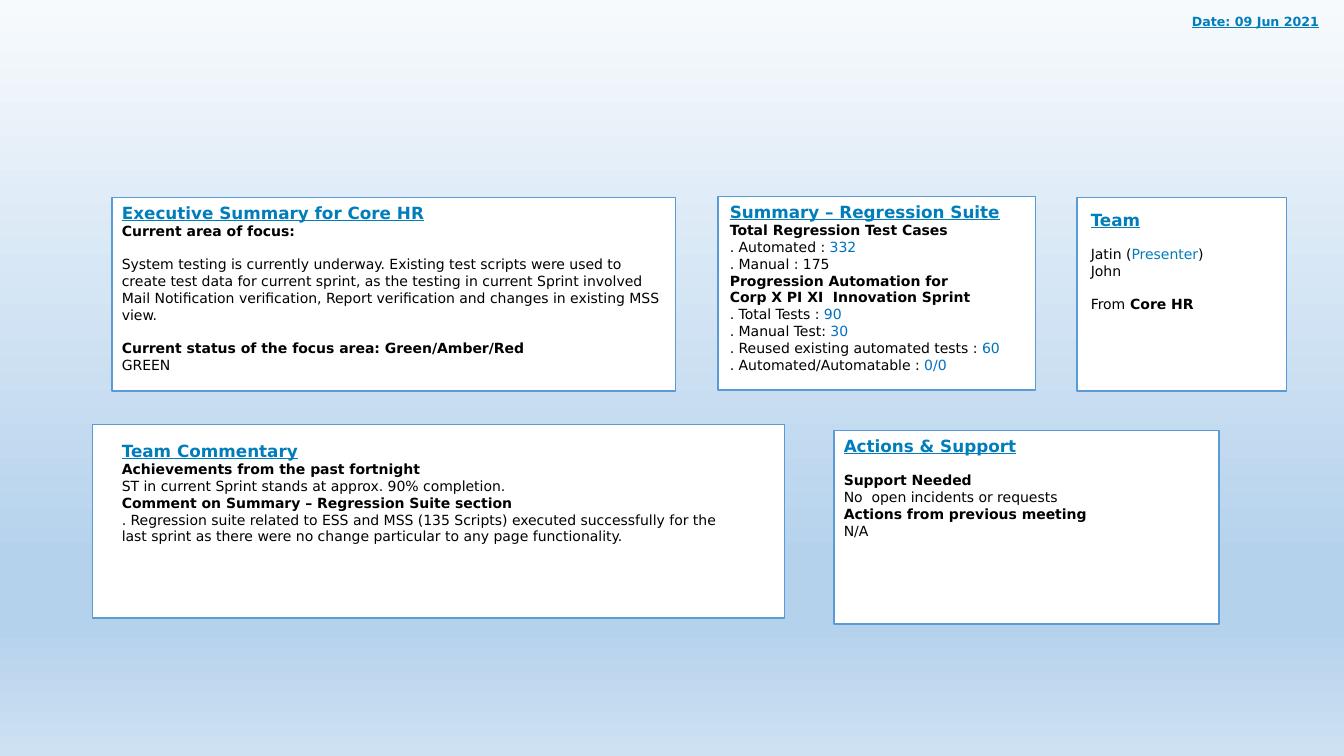
from dataclasses import dataclass

from lxml import etree
from pptx import Presentation
from pptx.dml.color import RGBColor
from pptx.enum.shapes import MSO_SHAPE
from pptx.enum.text import MSO_AUTO_SIZE, PP_ALIGN
from pptx.oxml.ns import qn
from pptx.util import Inches, Pt

RECTANGLE = MSO_SHAPE.RECTANGLE
FIT_SHAPE = MSO_AUTO_SIZE.SHAPE_TO_FIT_TEXT
RIGHT = PP_ALIGN.RIGHT


@dataclass(frozen=True)
class Theme:
    font: str = "DejaVu Sans"
    heading: RGBColor = RGBColor(0x00, 0x7D, 0xBA)
    figure: RGBColor = RGBColor(0x00, 0x70, 0xC0)
    body: RGBColor = RGBColor(0x00, 0x00, 0x00)
    panel: RGBColor = RGBColor(0xFF, 0xFF, 0xFF)
    border: RGBColor = RGBColor(0x5B, 0x9B, 0xD5)
    heading_size: Pt = Pt(12)
    body_size: Pt = Pt(10)
    date_size: Pt = Pt(9)
    line_gap: Pt = Pt(11.6)
    background: tuple = ((0, "F7FAFD"), (74, "B5D2EC"), (83, "B5D2EC"), (100, "CEE1F2"))


THEME = Theme()


@dataclass(frozen=True)
class Line:
    """A body line; detail is a closing part with its own colour or weight."""
    text: str
    bold: bool = False
    gap: bool = False
    detail: str = ""
    detail_color: RGBColor = THEME.figure
    detail_bold: bool = False
    tail: str = ""


@dataclass(frozen=True)
class Panel:
    title: str
    box: tuple
    text_box: tuple
    lines: tuple


PANELS = (
    Panel("Summary – Regression Suite", (7.12, 1.95, 3.15, 1.92), (7.14, 1.95, 3.15, 1.82), (
        Line("Total Regression Test Cases", bold=True),
        Line(". Automated : ", detail="332"),
        Line(". Manual : 175"),
        Line("Progression Automation for", bold=True),
        Line("Corp X PI XI  Innovation Sprint", bold=True),
        Line(". Total Tests : ", detail="90"),
        Line(". Manual Test: ", detail="30"),
        Line(". Reused existing automated tests : ", detail="60"),
        Line(". Automated/Automatable : ", detail="0/0"),
    )),
    Panel("Team Commentary", (0.92, 4.21, 6.86, 1.92), (1.11, 4.32, 6.32, 1.31), (
        Line("Achievements from the past fortnight", bold=True),
        Line("ST in current Sprint stands at approx. 90% completion."),
        Line("Comment on Summary – Regression Suite section", bold=True),
        Line(". Regression suite related to ESS and MSS (135 Scripts) executed successfully "
             "for the last sprint as there were no change particular to any page functionality."),
    )),
    Panel("Actions & Support", (8.27, 4.27, 3.82, 1.92), (8.27, 4.27, 3.82, 1.14), (
        Line("Support Needed", bold=True, gap=True),
        Line("No  open incidents or requests"),
        Line("Actions from previous meeting", bold=True),
        Line("N/A"),
    )),
    Panel("Executive Summary for Core HR", (1.11, 1.96, 5.59, 1.92), (1.11, 1.96, 5.59, 1.82), (
        Line("Current area of focus:", bold=True),
        Line("System testing is currently underway. Existing test scripts were used to create "
             "test data for current sprint, as the testing in current Sprint involved Mail "
             "Notification verification, Report verification and changes in existing MSS view.",
             gap=True),
        Line("Current status of the focus area: Green/Amber/Red", bold=True, gap=True),
        Line("GREEN"),
    )),
    Panel("Team", (10.68, 1.96, 2.08, 1.92), (10.72, 2.03, 2.09, 1.28), (
        Line("Jatin (", gap=True, detail="Presenter", detail_color=THEME.heading, tail=")"),
        Line("John"),
        Line("From", gap=True, detail=" Core HR", detail_color=THEME.body, detail_bold=True),
    )),
)


def set_background(slide):
    fill = slide.background.fill
    fill.gradient()
    fill.gradient_angle = 270
    stops = next(slide.element.iter(qn("a:gsLst")))
    for stop in list(stops):
        stops.remove(stop)
    for percent, color in THEME.background:
        stop = etree.SubElement(stops, qn("a:gs"), pos=str(percent * 1000))
        etree.SubElement(stop, qn("a:srgbClr"), val=color)


def add_text_frame(shapes, box, wrap=True):
    frame = shapes.add_textbox(*map(Inches, box)).text_frame
    frame.word_wrap = wrap
    frame.auto_size = FIT_SHAPE
    return frame


def write_heading(paragraph, text, size):
    paragraph.add_run().text = text
    font = paragraph.font
    font.name, font.size = THEME.font, size
    font.bold = font.underline = True
    font.color.rgb = THEME.heading


def write_line(paragraph, line):
    paragraph.font.name = THEME.font
    paragraph.font.size = THEME.body_size
    if line.gap:
        paragraph.space_before = THEME.line_gap
    parts = (
        (line.text, THEME.body, line.bold),
        (line.detail, line.detail_color, line.detail_bold),
        (line.tail, THEME.body, line.bold),
    )
    for text, color, bold in parts:
        if text:
            run = paragraph.add_run()
            run.text = text
            run.font.bold = bold
            run.font.color.rgb = color


def add_panel(slide, panel):
    shapes = slide.shapes.add_group_shape().shapes
    rectangle = shapes.add_shape(RECTANGLE, *map(Inches, panel.box))
    rectangle.shadow.inherit = False
    rectangle.fill.solid()
    rectangle.fill.fore_color.rgb = THEME.panel
    rectangle.line.color.rgb = THEME.border
    rectangle.line.width = Pt(1)
    frame = add_text_frame(shapes, panel.text_box)
    write_heading(frame.paragraphs[0], panel.title, THEME.heading_size)
    for line in panel.lines:
        write_line(frame.add_paragraph(), line)


def add_date(slide, text):
    paragraph = add_text_frame(slide.shapes, (11.68, 0.09, 1.5, 0.25), wrap=False).paragraphs[0]
    paragraph.alignment = RIGHT
    write_heading(paragraph, text, THEME.date_size)


def main():
    presentation = Presentation()
    presentation.slide_width = Inches(13.33)
    presentation.slide_height = Inches(7.5)
    slide = presentation.slides.add_slide(presentation.slide_layouts[6])
    set_background(slide)
    for panel in PANELS:
        add_panel(slide, panel)
    add_date(slide, "Date: 09 Jun 2021")
    presentation.save("out.pptx")


if __name__ == "__main__":
    main()
